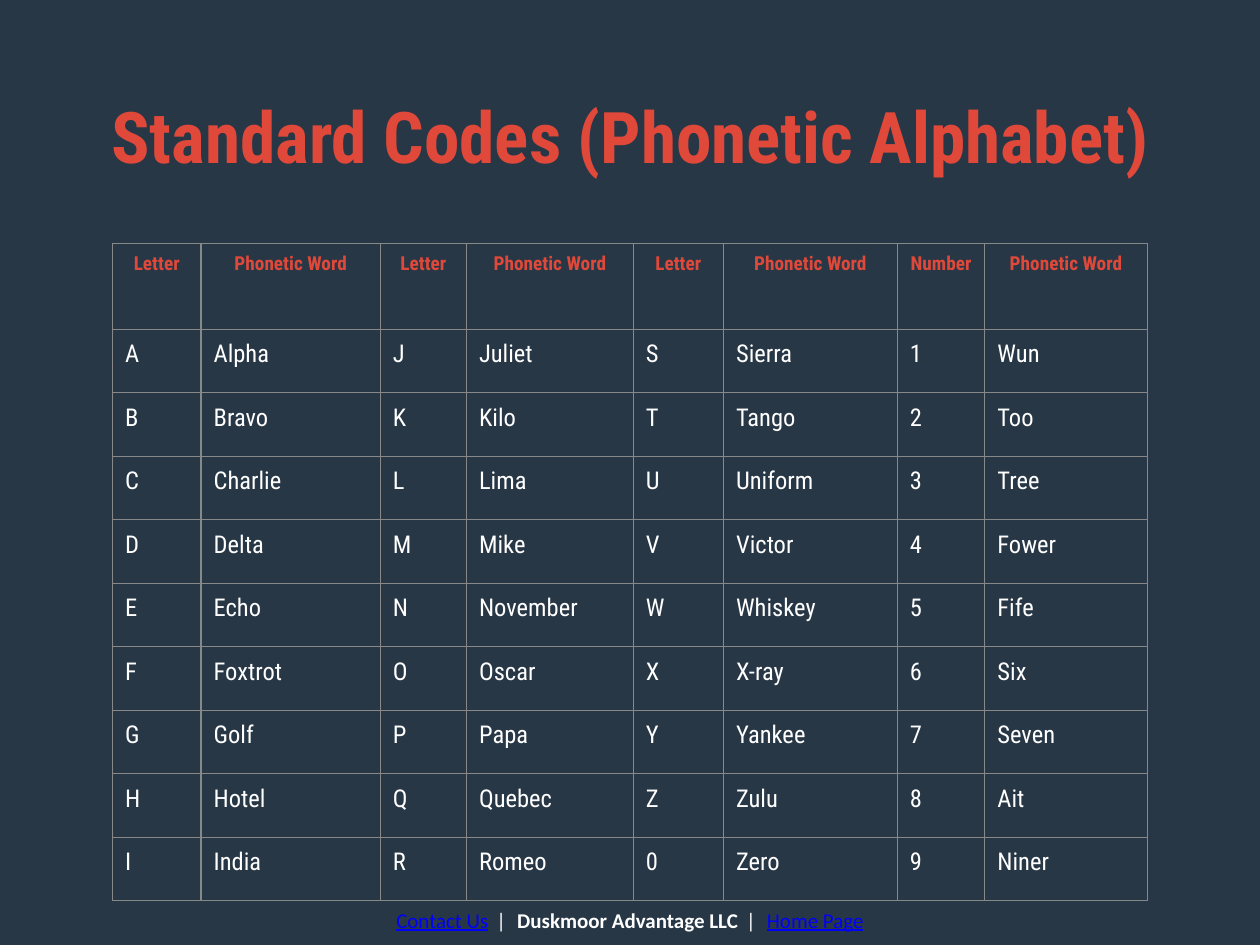
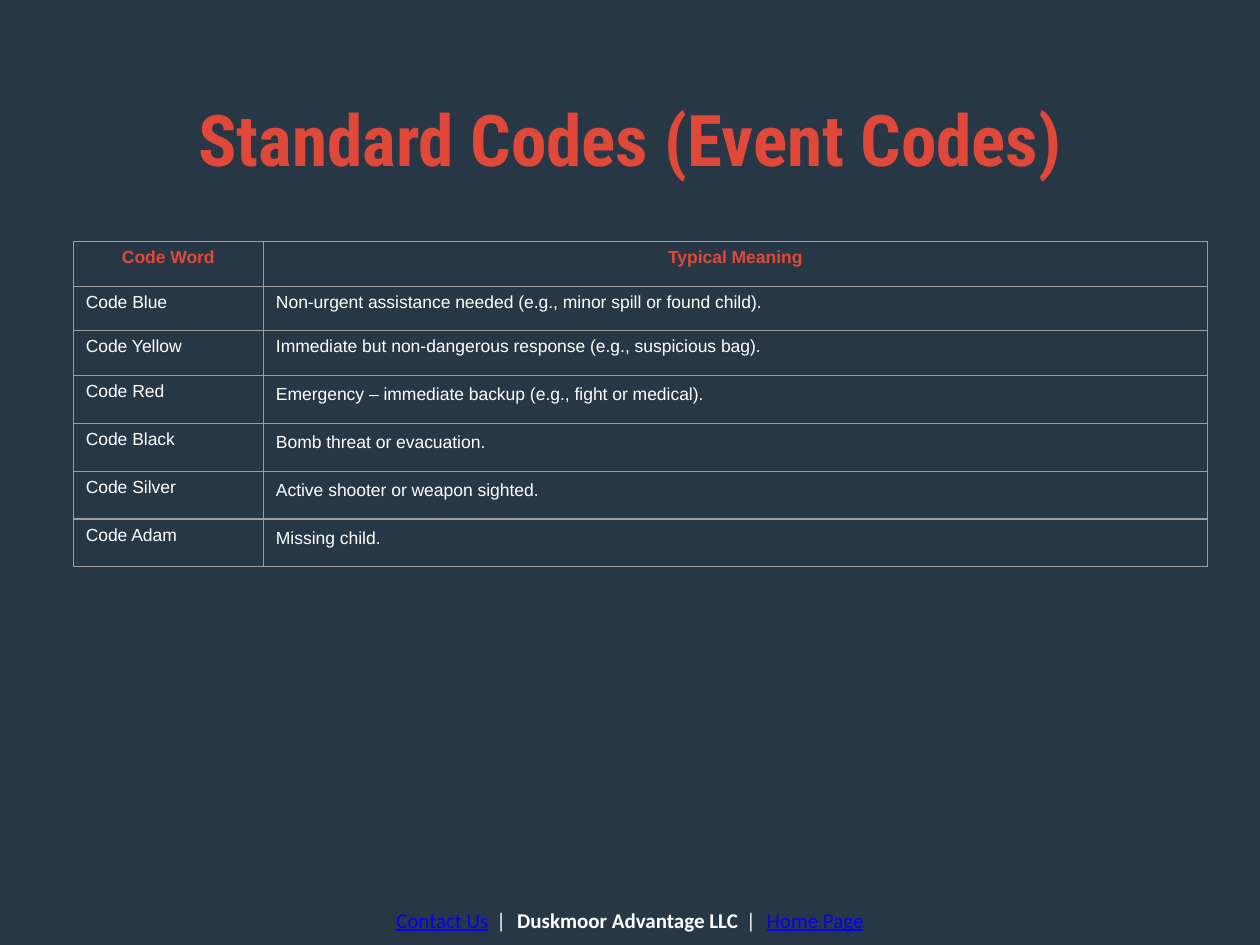
from dataclasses import dataclass
from typing import Callable

from lxml.etree import SubElement
from pptx import Presentation
from pptx.dml.color import RGBColor
from pptx.enum.text import MSO_ANCHOR, PP_ALIGN
from pptx.oxml.ns import qn
from pptx.util import Pt

COLORS = {
    "background": "283746",
    "accent": "E0493A",
    "text": "FFFFFF",
    "link": "0000FF",
    "gray": "888888",
    "light_gray": "9E9E9E",
}
HEAD_FONT = "Roboto Condensed"
FOOTER_FONT = "Calibri"
TITLE_SIZE = 40.7
FOOTER_SIZE = 12
BORDER_WIDTH = Pt(0.75)


@dataclass(frozen=True)
class TextStyle:
    font: str
    size: float
    color: str
    bold: bool = False
    underline: bool = False
    tracking: float = 0


@dataclass(frozen=True)
class TableSpec:
    left: float
    top: float
    col_widths: list[float]
    row_heights: list[float]
    rows: list[tuple[str, ...]]
    header: TextStyle
    body: TextStyle
    border: str
    line_spacing: Callable[[int, int], float]


@dataclass(frozen=True)
class SlideSpec:
    title: str
    title_spacing: float
    table: TableSpec


TITLE = TextStyle(HEAD_FONT, TITLE_SIZE, "accent", bold=True)
LINK = TextStyle(FOOTER_FONT, FOOTER_SIZE, "link", underline=True)
COMPANY = TextStyle(FOOTER_FONT, FOOTER_SIZE, "text", bold=True)
DIVIDER = TextStyle(FOOTER_FONT, FOOTER_SIZE, "text", tracking=1.8)
FOOTER = [
    ("Contact Us", LINK),
    (" | ", DIVIDER),
    ("Duskmoor Advantage LLC", COMPANY),
    (" | ", DIVIDER),
    ("Home Page", LINK),
]

PHONETIC_COLUMNS = [
    ("Letter", *"ABCDEFGHI"),
    ("Phonetic Word", "Alpha", "Bravo", "Charlie", "Delta", "Echo",
     "Foxtrot", "Golf", "Hotel", "India"),
    ("Letter", *"JKLMNOPQR"),
    ("Phonetic Word", "Juliet", "Kilo", "Lima", "Mike", "November",
     "Oscar", "Papa", "Quebec", "Romeo"),
    ("Letter", *"STUVWXYZ0"),
    ("Phonetic Word", "Sierra", "Tango", "Uniform", "Victor", "Whiskey",
     "X-ray", "Yankee", "Zulu", "Zero"),
    ("Number", *"123456789"),
    ("Phonetic Word", "Wun", "Too", "Tree", "Fower", "Fife",
     "Six", "Seven", "Ait", "Niner"),
]
EVENT_ROWS = [
    ("Code Word", "Typical Meaning"),
    ("Code Blue",
     "Non-urgent assistance needed (e.g., minor spill or found child)."),
    ("Code Yellow",
     "Immediate but non-dangerous response (e.g., suspicious bag)."),
    ("Code Red", "Emergency – immediate backup (e.g., fight or medical)."),
    ("Code Black", "Bomb threat or evacuation."),
    ("Code Silver", "Active shooter or weapon sighted."),
    ("Code Adam", "Missing child."),
]

SLIDES = [
    SlideSpec("Standard Codes (Phonetic Alphabet)", 0.8, TableSpec(
        left=64.3, top=139,
        col_widths=[50.6, 102.5, 49.2, 95.4, 51.5, 99.4, 50, 92.8],
        row_heights=[49.2] + [36.3] * 9,
        rows=list(zip(*PHONETIC_COLUMNS)),
        header=TextStyle(HEAD_FONT, 11, "accent", bold=True),
        body=TextStyle(HEAD_FONT, 14, "text"),
        border="gray",
        line_spacing=lambda row, col: 1.15,
    )),
    SlideSpec("Standard Codes (Event Codes)", 0.9, TableSpec(
        left=41.8, top=137.9,
        col_widths=[108.7, 539.3],
        row_heights=[25.6] * 3 + [27.3] * 4,
        rows=EVENT_ROWS,
        header=TextStyle("Arial", 10, "accent", bold=True),
        body=TextStyle("Arial", 10, "text"),
        border="light_gray",
        line_spacing=lambda row, col: 1.15 if row > 2 and col == 1 else 1.0,
    )),
]


def rgb(name: str) -> RGBColor:
    return RGBColor.from_string(COLORS[name])


def format_run(r, style: TextStyle) -> None:
    font = r.font
    font.name = style.font
    font.size = Pt(style.size)
    font.bold = style.bold
    font.underline = style.underline
    font.color.rgb = rgb(style.color)
    if style.tracking:
        font._element.set("spc", str(round(style.tracking * 100)))


def add_box(slide, left: float, top: float, width: float, height: float):
    """Add a wrapping text box and return its text frame."""
    box = slide.shapes.add_textbox(Pt(left), Pt(top), Pt(width), Pt(height))
    tf = box.text_frame
    tf.word_wrap = True
    tf.paragraphs[0].alignment = PP_ALIGN.CENTER
    return tf


def add_title(slide, text: str, spacing: float) -> None:
    tf = add_box(slide, 36, 36.7, 648, 90)
    tf.vertical_anchor = MSO_ANCHOR.MIDDLE
    p = tf.paragraphs[0]
    p.text = text
    p.line_spacing = spacing
    format_run(p.runs[0], TITLE)


def add_footer(slide) -> None:
    tf = add_box(slide, 0, 511.2, 720, 28.8)
    tf.margin_top = tf.margin_bottom = Pt(7.2)
    for text, style in FOOTER:
        r = tf.paragraphs[0].add_run()
        r.text = text
        format_run(r, style)


def set_borders(cell, color: str) -> None:
    """Draw all four sides; call before the fill, which must follow the lines."""
    tc_pr = cell._tc.get_or_add_tcPr()
    for side in ("a:lnL", "a:lnR", "a:lnT", "a:lnB"):
        ln = SubElement(tc_pr, qn(side), w=str(BORDER_WIDTH))
        fill = SubElement(ln, qn("a:solidFill"))
        SubElement(fill, qn("a:srgbClr"), val=COLORS[color])


def add_code_table(slide, spec: TableSpec) -> None:
    frame = slide.shapes.add_table(
        len(spec.rows), len(spec.col_widths), Pt(spec.left), Pt(spec.top),
        Pt(sum(spec.col_widths)), Pt(sum(spec.row_heights)))
    table = frame.table
    table.first_row = table.horz_banding = False
    for column, width in zip(table.columns, spec.col_widths):
        column.width = Pt(width)
    for i, (height, texts) in enumerate(zip(spec.row_heights, spec.rows)):
        table.rows[i].height = Pt(height)
        for j, text in enumerate(texts):
            cell = table.cell(i, j)
            set_borders(cell, spec.border)
            cell.fill.background()
            p = cell.text_frame.paragraphs[0]
            p.text = text
            p.alignment = PP_ALIGN.LEFT if i else PP_ALIGN.CENTER
            p.line_spacing = spec.line_spacing(i, j)
            format_run(p.runs[0], spec.body if i else spec.header)


def main() -> None:
    prs = Presentation()
    prs.slide_width, prs.slide_height = Pt(720), Pt(540)
    background = prs.slide_master.background.fill
    background.solid()
    background.fore_color.rgb = rgb("background")
    for spec in SLIDES:
        slide = prs.slides.add_slide(prs.slide_layouts[6])
        add_footer(slide)
        add_title(slide, spec.title, spec.title_spacing)
        add_code_table(slide, spec.table)
    prs.save("out.pptx")


if __name__ == "__main__":
    main()
